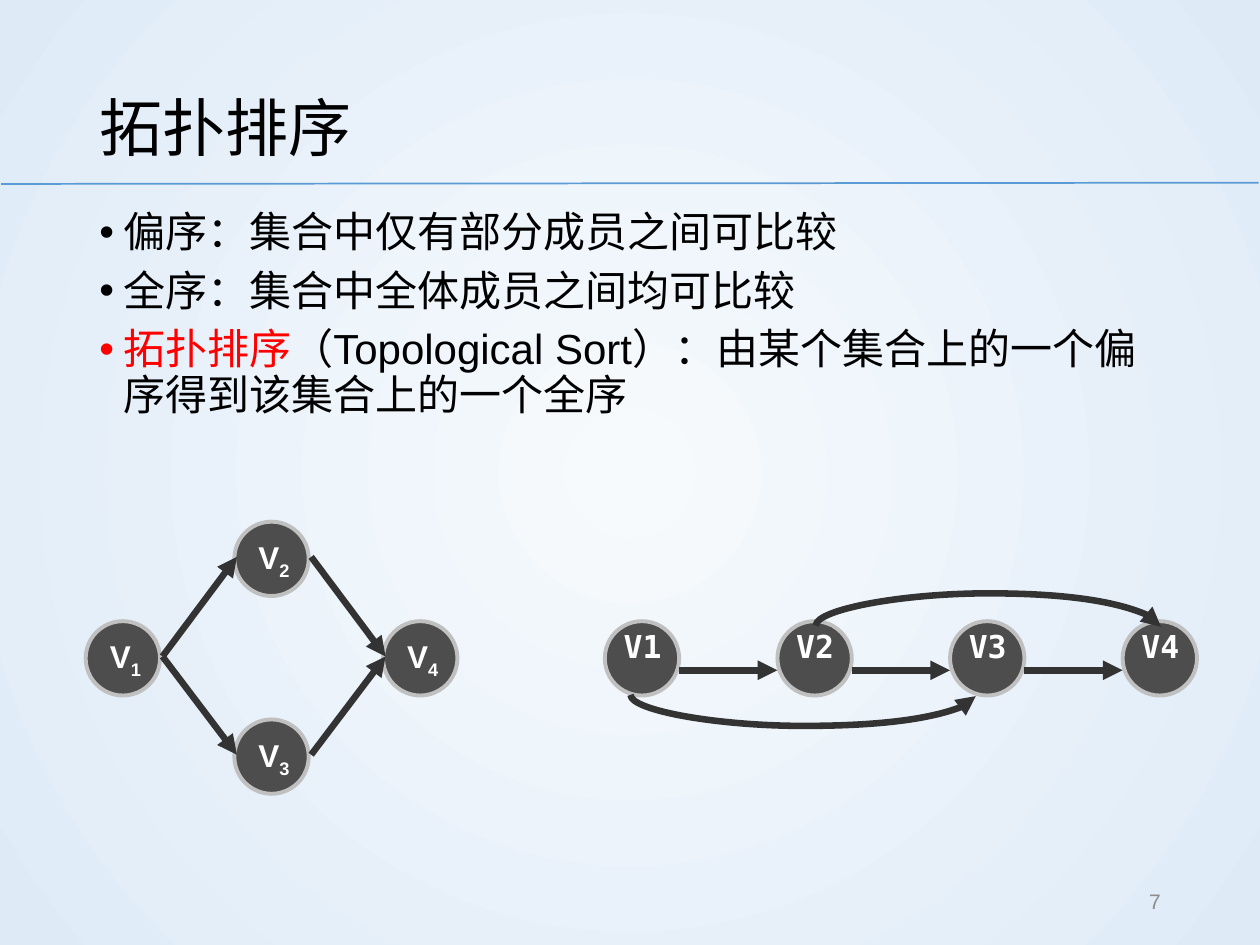
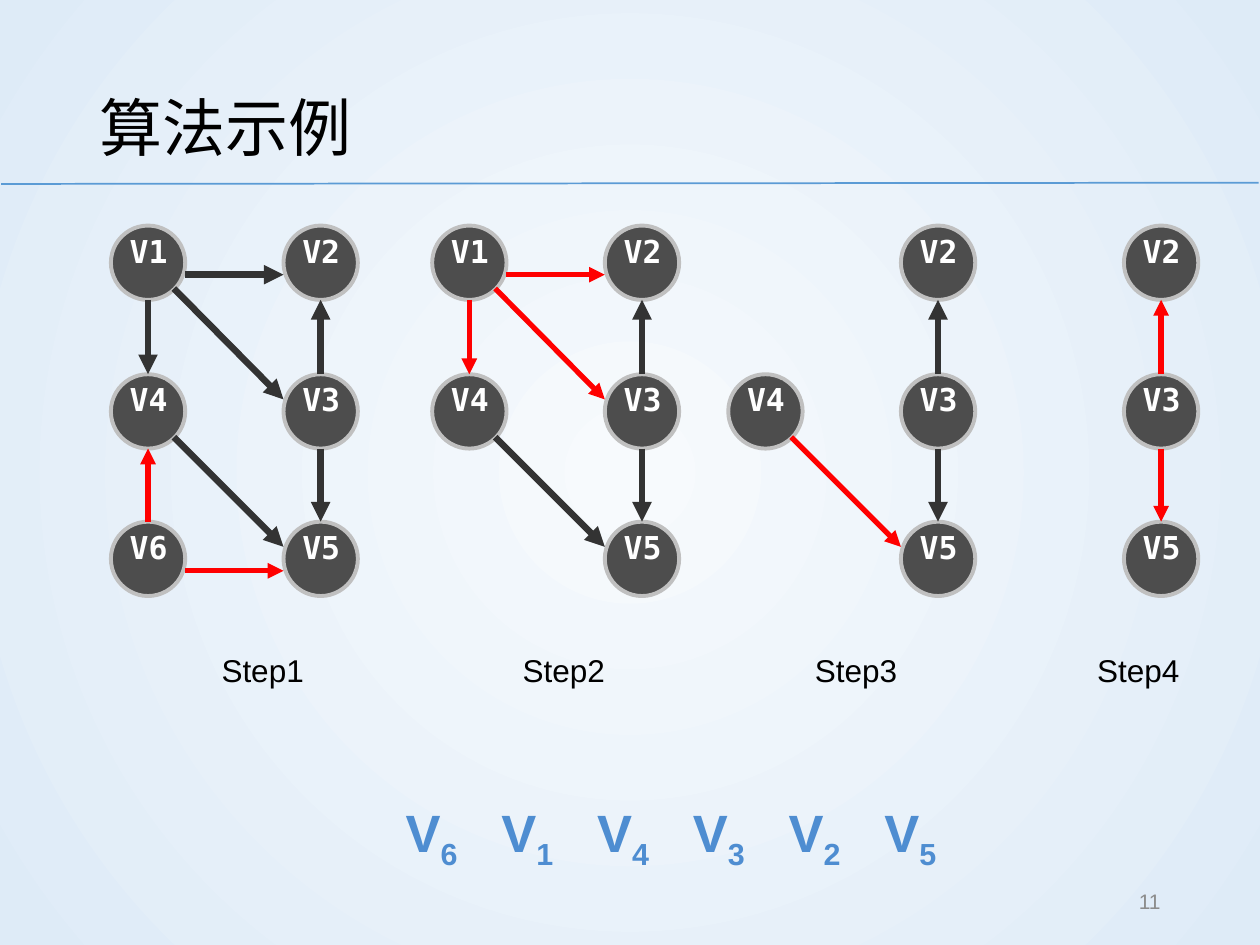
import pptx
import pptx.dml.color
import pptx.enum.shapes
import pptx.enum.text
import pptx.oxml
import pptx.oxml.ns
import pptx.util
from lxml import etree

Inches = pptx.util.Inches
SHAPES = pptx.enum.shapes.MSO_SHAPE
LINES = pptx.enum.shapes.MSO_CONNECTOR
ALIGN = pptx.enum.text.PP_ALIGN
ANCHOR = pptx.enum.text.MSO_ANCHOR

BLACK, WHITE, RED = "000000", "FFFFFF", "FF0000"
NODE_FILL, NODE_EDGE, ARROW = "4D4D4D", "C0C0C0", "333333"
RULE, NUMBER, RESULT = "5B9BD5", "8C8C8C", "4E8DD1"
GLOW = ("F7FAFD", "DEEBF7")
SANS, MONO = "Arial", "DejaVu Sans Mono"
NODE = 0.59
COLUMN_GAP = 1.37

DEFINITIONS = [
    ["偏序：集合中仅有部分成员之间可比较"],
    ["全序：集合中全体成员之间均可比较"],
    [("拓扑排序", RED), "（Topological Sort）：由某个集合上的一个偏序得到该集合上的一个全序"],
]
PARTIAL_ORDER = {"1": (0.68, 4.93), "2": (1.86, 4.14), "3": (1.86, 5.71), "4": (3.04, 4.93)}
PARTIAL_LINKS = ["12", "13", "24", "34"]
TOTAL_ORDER = {f"V{i + 1}": (4.8 + COLUMN_GAP * i, 4.93) for i in range(4)}
TOTAL_LINKS = ["V1 V2", "V2 V3", "V3 V4"]

ROWS = (1.79, 2.97, 4.14)
GRID = {"V1": (0, 0), "V2": (1, 0), "V4": (0, 1), "V3": (1, 1), "V6": (0, 2), "V5": (1, 2)}
# left column, nodes, remaining links, links removed in this step
STEPS = [
    (0.88, "V1 V2 V3 V4 V5 V6", ["V1 V2", "V1 V3", "V1 V4", "V3 V2", "V3 V5", "V4 V5"],
     ["V6 V4", "V6 V5"]),
    (3.43, "V1 V2 V3 V4 V5", ["V3 V2", "V3 V5", "V4 V5"], ["V1 V2", "V1 V3", "V1 V4"]),
    (5.78, "V2 V3 V4 V5", ["V3 V2", "V3 V5"], ["V4 V5"]),
    (7.55, "V2 V3 V5", [], ["V3 V2", "V3 V5"]),
]
STEP_TABS = (2.39, 4.71, 6.95)
SORTED = "614325"
SORTED_GAP = 0.76


def rgb(value):
    return pptx.dml.color.RGBColor.from_string(value)


def add_xml(parent, tag, **attributes):
    return etree.SubElement(parent, pptx.oxml.ns.qn(tag), attributes)


def write(frame, paragraphs, size=18, font=SANS, color=BLACK, bold=False, align=ALIGN.LEFT,
          anchor=ANCHOR.TOP, spacing=None, before=0, bullet=False, tabs=(), wrap=True):
    """Fill a frame; a paragraph is a list of text, (text, color) or (text, color, baseline)."""
    frame.word_wrap = wrap
    frame.vertical_anchor = anchor
    for index, spans in enumerate(paragraphs):
        para = frame.add_paragraph() if index else frame.paragraphs[0]
        props = para._p.get_or_add_pPr()
        if bullet:
            props.set("marL", str(Inches(0.19)))
            props.set("indent", str(-Inches(0.19)))
            add_xml(props, "a:buFont", typeface=SANS)
            add_xml(props, "a:buChar", char="•")
        if tabs:
            stops = add_xml(props, "a:tabLst")
            for tab in tabs:
                add_xml(stops, "a:tab", pos=str(Inches(tab)), algn="l")
        para.alignment = align
        if spacing:
            para.line_spacing = spacing
        if index and before:
            para.space_before = pptx.util.Pt(before)
        for item in spans:
            text, tint, *baseline = (item, color) if isinstance(item, str) else item
            span = para.add_run()
            span.text = text
            span.font.size = pptx.util.Pt(size)
            span.font.name = font
            span.font.bold = bold
            span.font.color.rgb = rgb(tint)
            if baseline:
                span._r.get_or_add_rPr().set("baseline", str(baseline[0]))


def add_text(page, at, paragraphs, **style):
    box = page.shapes.add_textbox(*map(Inches, at))
    write(box.text_frame, paragraphs, **style)


def indexed(index, color):
    return ["V", (index, color, -25000)]


def add_shape(page, kind, at, edge=None):
    shape = page.shapes.add_shape(kind, *map(Inches, at))
    shape.shadow.inherit = False
    shape.fill.solid()
    shape.fill.fore_color.rgb = rgb(NODE_FILL)
    if edge:
        shape.line.color.rgb = rgb(edge)
        shape.line.width = pptx.util.Pt(2.25)
    else:
        shape.line.fill.background()
    return shape


def add_circle(page, x, y):
    add_shape(page, SHAPES.FLOWCHART_CONNECTOR, (x, y, NODE, NODE), NODE_EDGE)


def add_node(page, name, x, y):
    add_circle(page, x, y)
    label = add_shape(page, SHAPES.RECTANGLE, (x + 0.17, y + 0.05, 0.26, 0.3))
    frame = label.text_frame
    frame.margin_left = frame.margin_right = frame.margin_top = frame.margin_bottom = 0
    write(frame, [[name]], font=MONO, color=WHITE, bold=True, align=ALIGN.CENTER,
          anchor=ANCHOR.MIDDLE, wrap=False)


def add_line(page, start, end, color=ARROW, width=3.75, kind=LINES.STRAIGHT, arrow=True):
    line = page.shapes.add_connector(kind, *map(Inches, (*start, *end)))
    line.line.color.rgb = rgb(color)
    line.line.width = pptx.util.Pt(width)
    if arrow:
        add_xml(line.line._get_or_add_ln(), "a:tailEnd", type="triangle")
    add_xml(line._element.spPr, "a:effectLst")
    return line


def add_arc(page, start_x, y, depth):
    """Curved arrow over two columns; a negative depth bends it upwards."""
    span, thin = 2 * COLUMN_GAP, 0.01
    middle = start_x + span / 2
    arc = add_line(page, (middle + thin, y - span / 2), (middle, y + span / 2), kind=LINES.CURVE)
    properties = arc._element.spPr
    properties.find(pptx.oxml.ns.qn("a:xfrm")).set("rot", "16200000")
    adjustments = properties.find(".//" + pptx.oxml.ns.qn("a:avLst"))
    add_xml(adjustments, "a:gd", name="adj1", fmla=f"val {round(depth / thin * 100000)}")


def link_nodes(page, places, links, color=ARROW, width=3.75):
    """Join nodes of a grid: along a row, along a column or diagonally."""
    for link in links:
        (x1, y1), (x2, y2) = (places[name] for name in link.split())
        if y1 == y2:
            start, end = (x1 + NODE, y1 + 0.39), (x2, y2 + 0.39)
        elif x1 == x2:
            down = y2 > y1
            start = (x1 + NODE / 2, y1 + NODE * down)
            end = (x2 + NODE / 2, y2 + NODE * (not down))
        else:
            start, end = (x1 + 0.5, y1 + 0.5), (x2, y2 + 0.2)
        add_line(page, start, end, color, width)


def add_page(deck, title, number):
    page = deck.slides.add_slide(deck.slide_layouts[6])
    fill = page.background.fill
    fill.gradient()
    for stop, color in zip(fill.gradient_stops, GLOW):
        stop.color.rgb = rgb(color)
    gradient = page.element.find(".//" + pptx.oxml.ns.qn("a:gradFill"))
    gradient.remove(gradient.find(pptx.oxml.ns.qn("a:lin")))
    circle = add_xml(gradient, "a:path", path="circle")
    add_xml(circle, "a:fillToRect", l="50000", t="50000", r="50000", b="50000")
    add_line(page, (0.01, 1.46), (9.99, 1.45), RULE, 1, arrow=False)
    add_text(page, (0.69, 0.4, 8.62, 1.08), [[title]], size=36, spacing=1.2,
             anchor=ANCHOR.MIDDLE)
    add_text(page, (7.06, 6.95, 2.25, 0.4), [[number]], size=12, color=NUMBER,
             align=ALIGN.RIGHT, anchor=ANCHOR.MIDDLE)
    return page


def build_definition_page(deck):
    page = add_page(deck, "拓扑排序", "7")
    add_text(page, (0.69, 1.63, 8.62, 5.13), DEFINITIONS, size=24, spacing=0.9, before=7.5,
             bullet=True)
    for index, (x, y) in PARTIAL_ORDER.items():
        add_circle(page, x, y)
        add_text(page, (x + 0.02, y + 0.08, NODE, 0.4), [indexed(index, WHITE)], color=WHITE,
                 bold=True, align=ALIGN.CENTER)
    for link in PARTIAL_LINKS:
        (x1, y1), (x2, y2) = (PARTIAL_ORDER[index] for index in link)
        add_line(page, (x1 + 0.61, y1 + 0.28), (x2 + 0.02, y2 + 0.28))
    for name, (x, y) in TOTAL_ORDER.items():
        add_node(page, name, x, y)
    link_nodes(page, TOTAL_ORDER, TOTAL_LINKS)
    add_arc(page, 6.47, 4.97, -0.26)
    add_arc(page, 5, 5.52, 0.25)


def build_example_page(deck):
    page = add_page(deck, "算法示例", "11")
    for left, names, kept, removed in STEPS:
        places = {name: (left + COLUMN_GAP * GRID[name][0], ROWS[GRID[name][1]])
                  for name in names.split()}
        for name, (x, y) in places.items():
            add_node(page, name, x, y)
        link_nodes(page, places, kept)
        link_nodes(page, places, removed, RED, 3)
    steps = "\t".join(f"Step{i + 1}" for i in range(len(STEPS)))
    add_text(page, (1.66, 5.12, 7.85, 0.4), [[steps]], tabs=STEP_TABS)
    spans = []
    for index in SORTED:
        spans += (["\t"] if spans else []) + indexed(index, RESULT)
    add_text(page, (3.12, 6.3, 4.51, 0.6), [spans], size=30, color=RESULT, bold=True,
             tabs=[SORTED_GAP * i for i in range(1, len(SORTED))])


def main():
    deck = pptx.Presentation()
    deck.slide_width, deck.slide_height = Inches(10), Inches(7.5)
    build_definition_page(deck)
    build_example_page(deck)
    deck.save("out.pptx")


if __name__ == "__main__":
    main()
